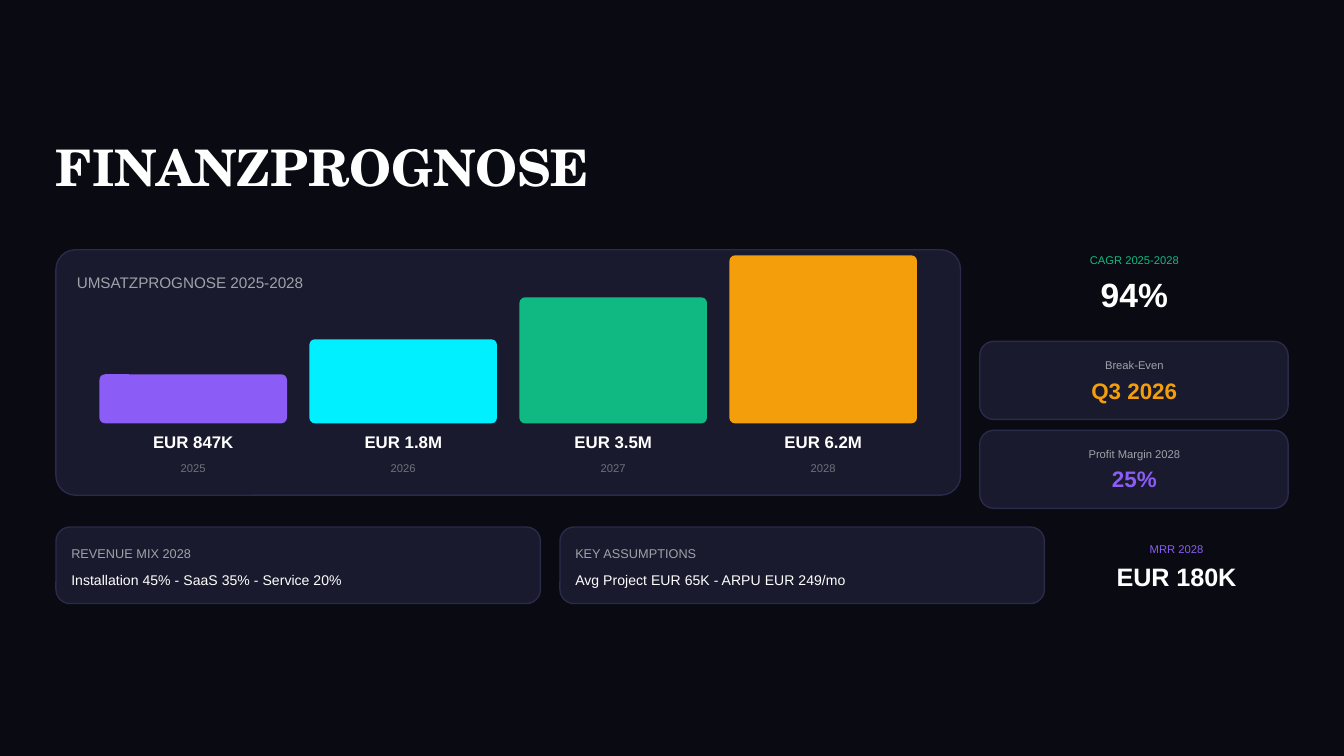
"""Build the financial forecast slide with revenue bars, key figures and notes."""
from dataclasses import dataclass

from pptx import Presentation
from pptx.dml.color import RGBColor
from pptx.enum.shapes import MSO_SHAPE as Preset
from pptx.enum.text import MSO_ANCHOR as Anchor, MSO_AUTO_SIZE as AutoSize, PP_ALIGN as Align
from pptx.util import Pt

BACKGROUND, CARD, BORDER = "0A0A12", "1A1A2E", "2A2A4A"
WHITE, GREY, DIM = "FFFFFF", "A1A1AA", "71717A"
PURPLE, CYAN, GREEN, ORANGE = "8B5CF6", "00F0FF", "10B981", "F59E0B"

BAR_LEFT, BAR_BOTTOM, BAR_WIDTH, BAR_PITCH = 53.25, 226.8, 100.5, 112.5


@dataclass
class Bar:
    year: str
    revenue: str
    height: float
    color: str


@dataclass
class Figure:
    label: str
    value: str
    top: float
    label_color: str = GREY
    value_color: str = WHITE
    size: float = 12
    left: float = 532.1
    width: float = 151.2
    card: bool = False


@dataclass
class Note:
    heading: str
    body: str


BARS = [
    Bar("2025", "EUR 847K", 26.25, PURPLE),
    Bar("2026", "EUR 1.8M", 45, CYAN),
    Bar("2027", "EUR 3.5M", 67.5, GREEN),
    Bar("2028", "EUR 6.2M", 90, ORANGE),
]
FIGURES = [
    Figure("CAGR 2025-2028", "94%", 134.6, label_color=GREEN, size=18),
    Figure("Break-Even", "Q3 2026", 190.8, value_color=ORANGE, card=True),
    Figure("Profit Margin 2028", "25%", 238.4, value_color=PURPLE, card=True),
    Figure("MRR 2028", "EUR 180K", 289.4, label_color=PURPLE, size=13.5, left=577.4, width=105.8),
]
NOTES = [
    Note("REVENUE MIX 2028", "Installation 45% - SaaS 35% - Service 20%"),
    Note("KEY ASSUMPTIONS", "Avg Project EUR 65K - ARPU EUR 249/mo"),
]


def rgb(color: str) -> RGBColor:
    """Turn a hex string into a colour."""
    return RGBColor.from_string(color)


def place(box, left: float, top: float, width: float, height: float) -> None:
    """Move and size a box in points."""
    box.left, box.top, box.width, box.height = Pt(left), Pt(top), Pt(width), Pt(height)


def write(box, text: str, *, size: float, color: str = WHITE, bold: bool = False,
          align=Align.LEFT, font: str = "Arial", spacing: float = 1.4, wrap: bool = True) -> None:
    """Fill a box with one formatted paragraph."""
    frame = box.text_frame
    frame.margin_left = frame.margin_top = frame.margin_right = frame.margin_bottom = 0
    frame.auto_size, frame.word_wrap, frame.vertical_anchor = AutoSize.NONE, wrap, Anchor.TOP
    para = frame.paragraphs[0]
    para.alignment, para.line_spacing = align, Pt(round(size * spacing, 1))
    span = para.add_run()
    span.text = text
    span.font.name, span.font.size, span.font.bold = font, Pt(size), bold
    span.font.color.rgb = rgb(color)


def add_text(page, text: str, left: float, top: float, width: float, *, size: float, **style) -> None:
    """Add a one-line text box."""
    box = page.shapes.add_textbox(Pt(left), Pt(top), Pt(width), Pt(size * 1.4))
    write(box, text, size=size, **style)


def add_panel(page, left: float, top: float, width: float, height: float, *,
              radius: float, fill: str = CARD, border: str = BORDER) -> None:
    """Add a rounded rectangle with a corner radius in points."""
    panel = page.shapes.add_shape(Preset.ROUNDED_RECTANGLE, Pt(left), Pt(top), Pt(width), Pt(height))
    panel.adjustments[0] = radius / min(width, height)
    panel.shadow.inherit = False
    panel.fill.solid()
    panel.fill.fore_color.rgb = rgb(fill)
    if border:
        panel.line.color.rgb = rgb(border)
        panel.line.width = Pt(0.75)
    else:
        panel.line.fill.background()


def add_bar(page, bar: Bar, index: int) -> None:
    """Add a revenue bar with its value and year below."""
    left = BAR_LEFT + index * BAR_PITCH
    center = left + BAR_WIDTH / 2
    add_panel(page, left, BAR_BOTTOM - bar.height, BAR_WIDTH, bar.height,
              radius=3, fill=bar.color, border="")
    add_text(page, bar.revenue, center - 21.5, 229.7, 43, size=9, bold=True,
             align=Align.CENTER, wrap=False)
    add_text(page, bar.year, center - 7, 245.7, 14, size=6, color=DIM,
             align=Align.CENTER, wrap=False)


def add_figure(page, figure: Figure) -> None:
    """Add a key figure, on a card where it has one."""
    if figure.card:
        add_panel(page, figure.left - 7.2, figure.top - 7.9, 165.2, 41.8, radius=7.5)
    add_text(page, figure.label, figure.left, figure.top, figure.width, size=6,
             color=figure.label_color, align=Align.CENTER)
    add_text(page, figure.value, figure.left, figure.top + 8.6, figure.width, size=figure.size,
             color=figure.value_color, bold=True, align=Align.CENTER)


def add_note(page, note: Note, index: int) -> None:
    """Add a note card with heading and body."""
    left, top = 30 + index * 270, 282.4
    add_panel(page, left, top, 259.5, 41, radius=7.5)
    add_text(page, note.heading, left + 8.2, top + 8.5, 247.7, size=6.8, color=GREY)
    add_text(page, note.body, left + 8.2, top + 22.4, 247.7, size=7.5)


def main() -> None:
    """Build and save the deck."""
    deck = Presentation()
    deck.slide_width, deck.slide_height = Pt(720), Pt(405)
    page = deck.slides.add_slide(deck.slide_layouts[5])
    page.background.fill.solid()
    page.background.fill.fore_color.rgb = rgb(BACKGROUND)

    title = page.shapes.title
    place(title, 30, 78.5, 337.7, 27)
    write(title, "FINANZPROGNOSE", size=27, bold=True, font="TeX Gyre Schola", spacing=1)

    add_panel(page, 30, 133.8, 484.6, 131.5, radius=10.5)
    add_text(page, "UMSATZPROGNOSE 2025-2028", 41.2, 144.8, 470.9, size=8.2, color=GREY)
    for index, bar in enumerate(BARS):
        add_bar(page, bar, index)
    for figure in FIGURES:
        add_figure(page, figure)
    for index, note in enumerate(NOTES):
        add_note(page, note, index)
    deck.save("out.pptx")


if __name__ == "__main__":
    main()
